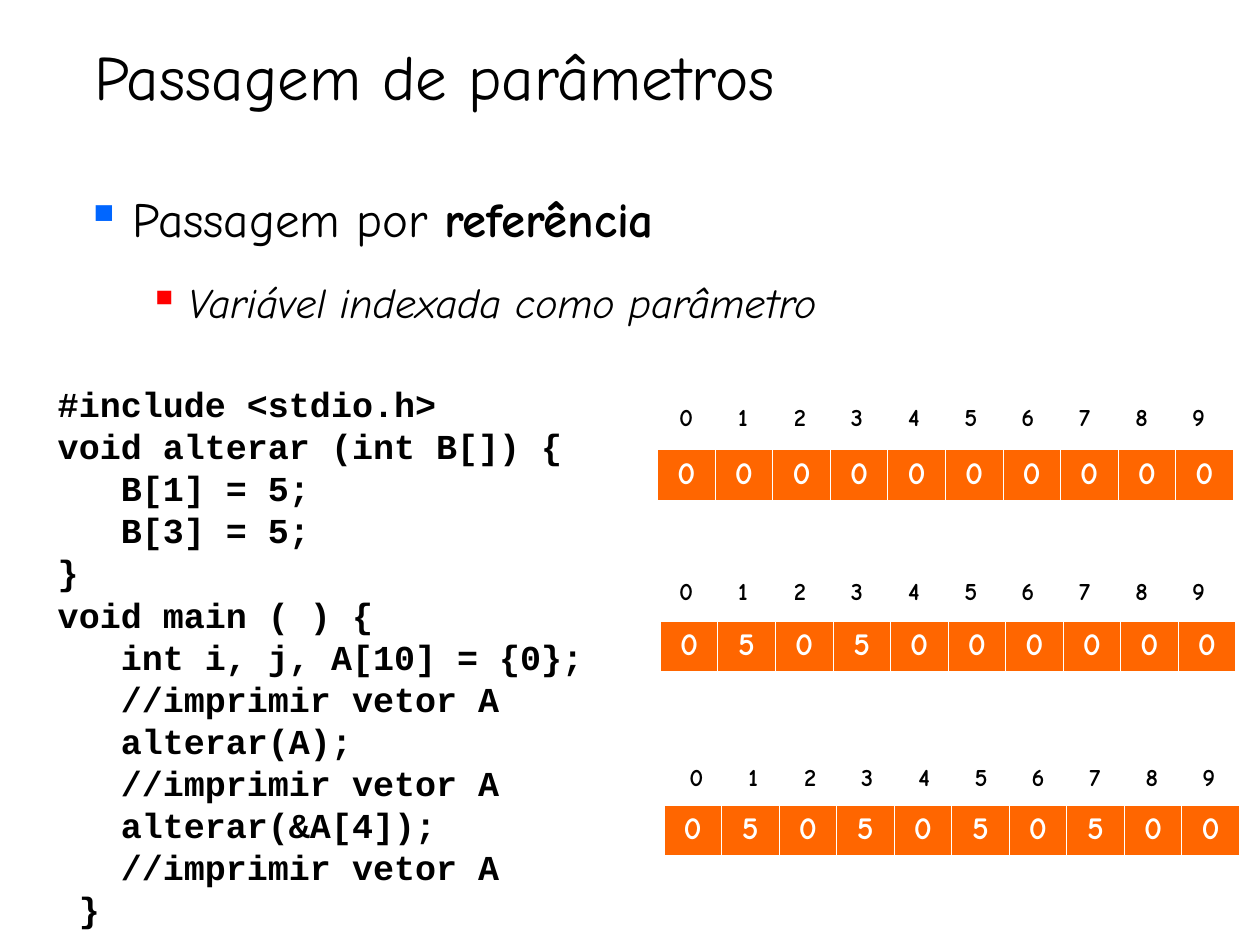
from pptx import Presentation
from pptx.dml.color import RGBColor
from pptx.enum.text import MSO_ANCHOR, PP_ALIGN
from pptx.oxml.xmlchemy import OxmlElement
from pptx.util import Pt

COLORS = {
    "text": "000000",
    "white": "FFFFFF",
    "cell": "FF6600",
    "topic_bullet": "0066FF",
    "detail_bullet": "FF0000",
}
FONT = "Comic Neue"
CODE_FONT = "Courier New"
CODE = """#include <stdio.h>
void alterar (int B[]) {
   B[1] = 5;
   B[3] = 5;
}
void main ( ) {
   int i, j, A[10] = {0};
   //imprimir vetor A
   alterar(A);
   //imprimir vetor A
   alterar(&A[4]);
   //imprimir vetor A
 }"""
VECTORS = [
    ("0000000000", 375.8, 257),
    ("0505000000", 377.3, 355),
    ("0505050500", 379.4, 460.1),
]
INDEX_ROWS = [(375.8, 227.5), (375.8, 326.9), (381.6, 433.4)]


def style(font, size, name=FONT, color="text", bold=False, italic=False):
    font.size = Pt(size)
    font.name = name
    font.bold = bold
    font.italic = italic
    font.color.rgb = RGBColor.from_string(COLORS[color])


def add_text(slide, left, top, width, height, text, anchor=MSO_ANCHOR.TOP):
    frame = slide.shapes.add_textbox(Pt(left), Pt(top), Pt(width), Pt(height)).text_frame
    frame.word_wrap = True
    frame.vertical_anchor = anchor
    frame.text = text
    return frame


def add_solid_fill(parent, color):
    fill = OxmlElement("a:solidFill")
    rgb = OxmlElement("a:srgbClr")
    rgb.set("val", COLORS[color])
    fill.append(rgb)
    parent.append(fill)


def add_bullet(paragraph, color, margin, hanging):
    properties = paragraph._p.get_or_add_pPr()
    properties.set("marL", str(Pt(margin)))
    properties.set("indent", str(-Pt(hanging)))
    bullet_color = OxmlElement("a:buClr")
    rgb = OxmlElement("a:srgbClr")
    rgb.set("val", COLORS[color])
    bullet_color.append(rgb)
    bullet = OxmlElement("a:buChar")
    bullet.set("char", "▪")
    properties.extend([bullet_color, bullet])


def add_topics(slide):
    frame = add_text(slide, 41.8, 108, 643.7, 97.9, "Passagem por ")
    topic = frame.paragraphs[0]
    topic.add_run().text = "referência"
    for run, bold in zip(topic.runs, (False, True)):
        style(run.font, 28, bold=bold)
    add_bullet(topic, "topic_bullet", 27, 27)
    topic.line_spacing = 0.9
    topic.space_after = Pt(10.5)

    detail = frame.add_paragraph()
    detail.text = "Variável indexada como parâmetro"
    detail.level = 1
    style(detail.runs[0].font, 24, italic=True)
    add_bullet(detail, "detail_bullet", 58.5, 22.5)
    detail.line_spacing = 0.9
    detail.space_before = Pt(9)


def add_code(slide):
    frame = add_text(slide, 25.9, 215.3, 353.5, 319.7, CODE)
    for line in frame.paragraphs:
        style(line.runs[0].font, 20, CODE_FONT, bold=True)


def add_borders(cell):
    properties = cell._tc.get_or_add_tcPr()
    borders = [("a:lnL", 0.45), ("a:lnR", 0.45), ("a:lnT", 0.45), ("a:lnB", 1.47)]
    for position, (tag, width) in enumerate(borders):
        border = OxmlElement(tag)
        border.set("w", str(Pt(width)))
        add_solid_fill(border, "white")
        properties.insert(position, border)


def add_row(slide, left, top, width, height, digits, size, color, fill=None):
    graphic = slide.shapes.add_table(1, len(digits), Pt(left), Pt(top), Pt(width), Pt(height))
    table = graphic.table
    table.first_row = False
    table.horz_banding = False
    for column, digit in zip(table.columns, digits):
        column.width = Pt(width / len(digits))
    for cell, digit in zip(table.iter_cells(), digits):
        cell.text = digit
        paragraph = cell.text_frame.paragraphs[0]
        paragraph.alignment = PP_ALIGN.CENTER
        style(paragraph.runs[0].font, size, color=color, bold=True)
        if fill:
            cell.fill.solid()
            cell.fill.fore_color.rgb = RGBColor.from_string(COLORS[fill])
        else:
            cell.fill.background()
        add_borders(cell)


def main():
    presentation = Presentation()
    presentation.slide_width = Pt(720)
    presentation.slide_height = Pt(540)
    slide = presentation.slides.add_slide(presentation.slide_layouts[6])

    title = add_text(slide, 46.8, 18, 598.3, 50.4, "Passagem de parâmetros", MSO_ANCHOR.BOTTOM)
    style(title.paragraphs[0].runs[0].font, 36)
    add_topics(slide)
    add_code(slide)
    for values, left, top in VECTORS:
        add_row(slide, left, top, 329, 29.2, values, 18, "white", "cell")
    for left, top in INDEX_ROWS:
        add_row(slide, left, top, 325.5, 24.1, "0123456789", 14, "text")
    presentation.save("out.pptx")


if __name__ == "__main__":
    main()
